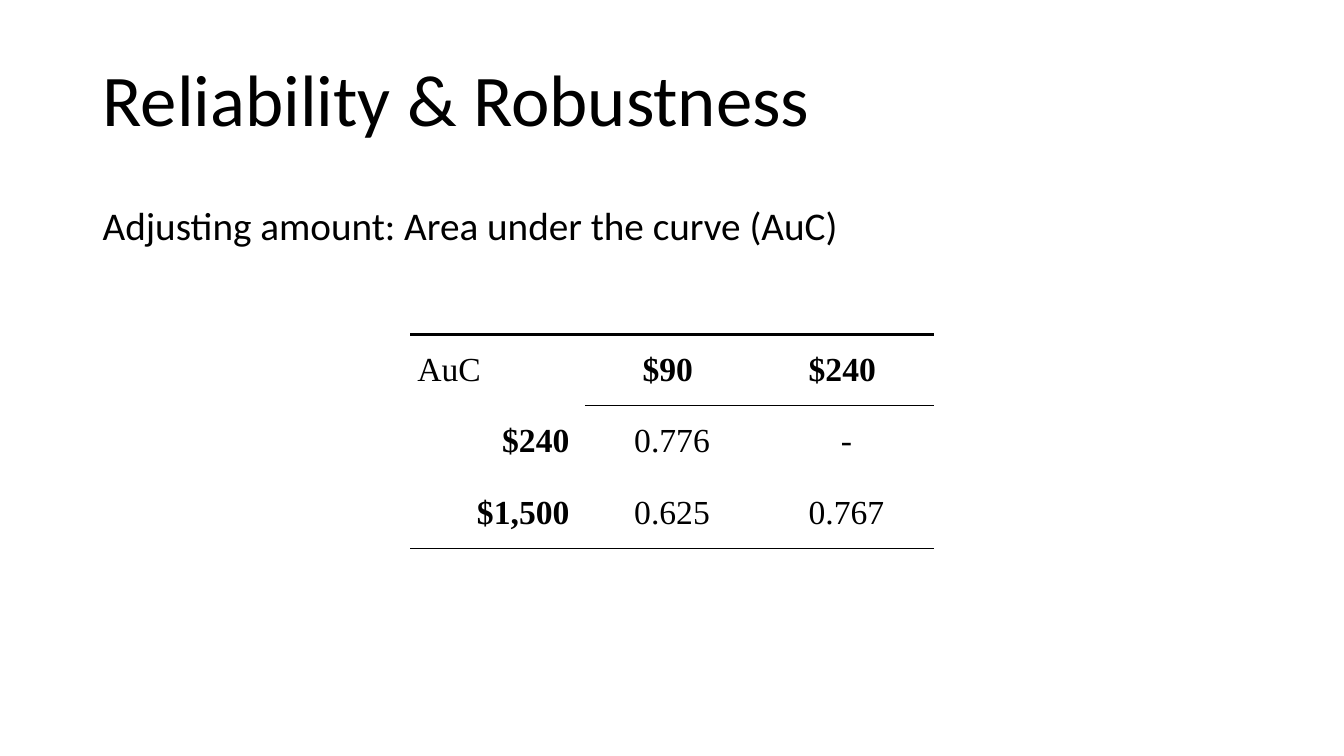
"""Build the reliability and robustness slide with its AuC table."""
import lxml.etree
import pptx
import pptx.dml.color
import pptx.enum.text
import pptx.oxml.ns
import pptx.util

COLORS = {"ink": "000000"}
ALIGN = pptx.enum.text.PP_ALIGN
ANCHOR = pptx.enum.text.MSO_ANCHOR
WIDTH, HEIGHT = 13.33, 7.5
MARGIN, TEXT_WIDTH = 0.92 / WIDTH, 11.5 / WIDTH
THICK, THIN = 2.25, 1

AUC_ROWS = [
    ["AuC", "$90 ", "$240 "],
    ["$240 ", "0.776", "-"],
    ["$1,500 ", "0.625", "0.767"],
]


class SlideBuilder:
    """Hold the style and the current slide."""

    def __init__(self, presentation):
        """Add a blank slide of the chosen size."""
        presentation.slide_width = pptx.util.Inches(WIDTH)
        presentation.slide_height = pptx.util.Inches(HEIGHT)
        self.slide = presentation.slides.add_slide(presentation.slide_layouts[6])

    def box(self, left, top, width, height):
        """Turn shares of the slide into lengths."""
        return (pptx.util.Inches(left * WIDTH), pptx.util.Inches(top * HEIGHT),
                pptx.util.Inches(width * WIDTH), pptx.util.Inches(height * HEIGHT))

    def style(self, paragraph, font, size, bold=False):
        """Format every run of a paragraph."""
        for run in paragraph.runs:
            run.font.name = font
            run.font.size = pptx.util.Pt(size)
            run.font.bold = bold
            run.font.color.rgb = pptx.dml.color.RGBColor.from_string(COLORS["ink"])

    def text(self, words, area, size, anchor, space_before=0):
        """Add a wrapped text box."""
        shape = self.slide.shapes.add_textbox(*self.box(*area))
        text_frame = shape.text_frame
        text_frame.word_wrap = True
        text_frame.vertical_anchor = anchor
        text_frame.text = words
        paragraph = text_frame.paragraphs[0]
        paragraph.line_spacing = 0.9
        paragraph.space_before = pptx.util.Pt(space_before)
        self.style(paragraph, "Calibri", size)

    def borders(self, cell, widths):
        """Draw the given sides of a cell and clear the others."""
        properties = cell._tc.get_or_add_tcPr()
        for position, side in enumerate("LRTB"):
            line = lxml.etree.Element(pptx.oxml.ns.qn(f"a:ln{side}"))
            if side in widths:
                line.set("w", str(pptx.util.Pt(widths[side])))
                fill = lxml.etree.SubElement(line, pptx.oxml.ns.qn("a:solidFill"))
                color = lxml.etree.SubElement(fill, pptx.oxml.ns.qn("a:srgbClr"))
                color.set("val", COLORS["ink"])
            else:
                lxml.etree.SubElement(line, pptx.oxml.ns.qn("a:noFill"))
            properties.insert(position, line)

    def table(self, rows, area):
        """Add a ruled table with bold headings and equal cells."""
        shape = self.slide.shapes.add_table(len(rows), len(rows[0]), *self.box(*area))
        table = shape.table
        table.first_row = table.horz_banding = False
        for row, values in enumerate(rows):
            for column, value in enumerate(values):
                cell = table.cell(row, column)
                cell.fill.background()
                cell.vertical_anchor = ANCHOR.MIDDLE
                cell.margin_left = cell.margin_right = pptx.util.Inches(0.07)
                cell.margin_top = cell.margin_bottom = 0
                cell.text_frame.text = value
                paragraph = cell.text_frame.paragraphs[0]
                if column:
                    paragraph.alignment = ALIGN.CENTER
                else:
                    paragraph.alignment = ALIGN.RIGHT if row else ALIGN.LEFT
                self.style(paragraph, "Times New Roman", 24, (row == 0) != (column == 0))
                widths = {}
                if row == 0:
                    widths["T"] = THICK
                if row == 1 and column:
                    widths["T"] = THIN
                if row == len(rows) - 1 or (row == 0 and column):
                    widths["B"] = THIN
                self.borders(cell, widths)


def main():
    """Build and save the slide."""
    presentation = pptx.Presentation()
    builder = SlideBuilder(presentation)
    builder.text("Reliability & Robustness",
                 (MARGIN, 0.2 / HEIGHT, TEXT_WIDTH, 0.22), 52, ANCHOR.MIDDLE)
    builder.text("Adjusting amount: Area under the curve (AuC)",
                 (MARGIN, 2 / HEIGHT, TEXT_WIDTH, 4.76 / HEIGHT), 28, ANCHOR.TOP, 10)
    builder.table(AUC_ROWS, (4.07 / WIDTH, 3.32 / HEIGHT, 5.19 / WIDTH, 2.12 / HEIGHT))
    presentation.save("out.pptx")


if __name__ == "__main__":
    main()
